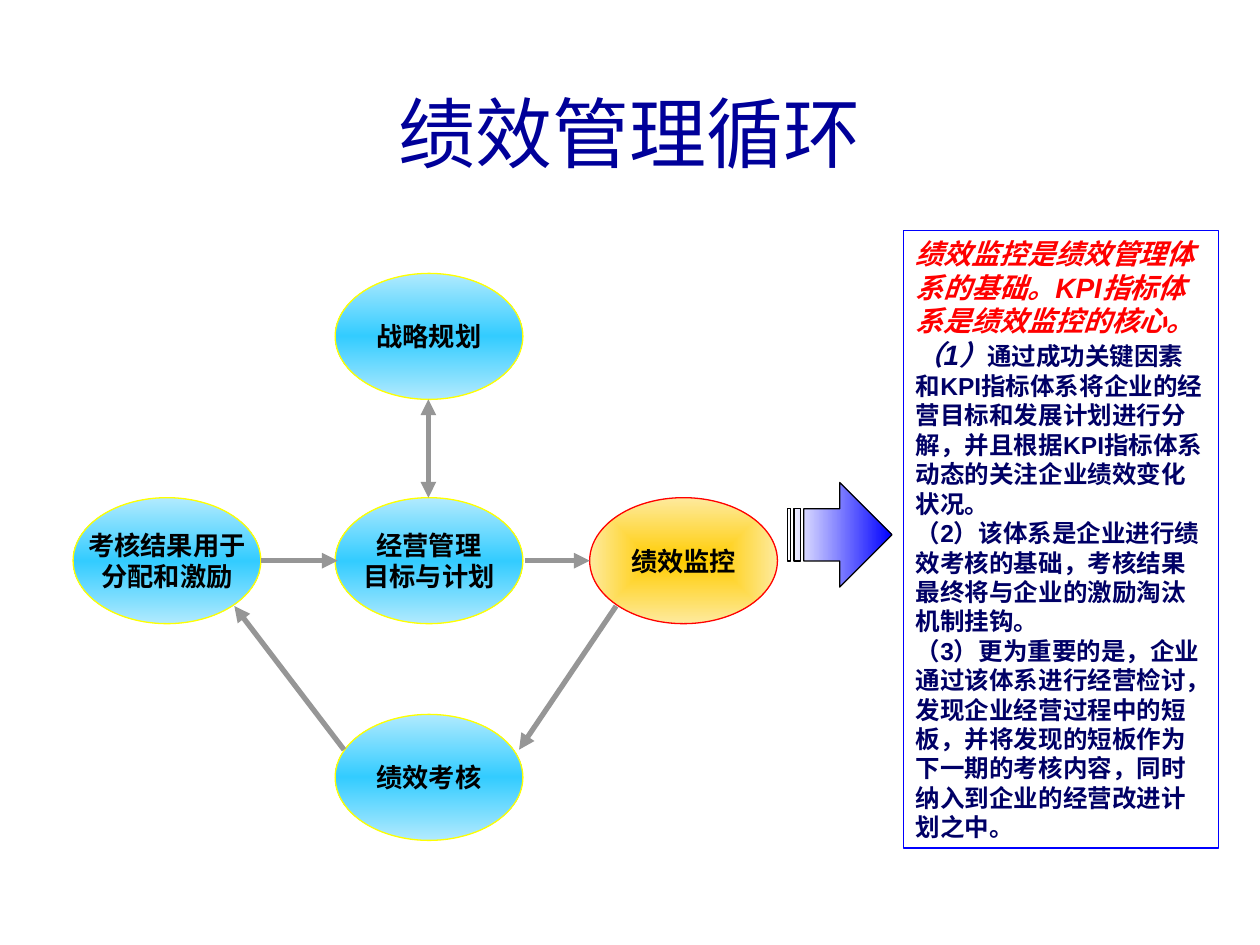
from pptx import Presentation
from pptx.dml.color import RGBColor as Rgb
from pptx.enum.shapes import MSO_CONNECTOR as Link, MSO_SHAPE as Kind
from pptx.enum.text import MSO_ANCHOR as Anchor, MSO_AUTO_SIZE as Auto, PP_ALIGN as Align
from pptx.oxml import parse_xml
from pptx.oxml.ns import nsdecls
from pptx.util import Inches, Pt

HUE = {
    "title": "000099", "black": "000000", "navy": "000066", "red": "FF0000",
    "blue": "0000FF", "white": "FFFFFF", "grey": "969696", "yellow": "FFFF00",
    "sky": "33CCFF", "pale": "B1EAFE", "gold": "FFCC00", "cream": "FEEA9E",
}
DOWN = '<a:lin ang="5400000" scaled="1"/>'
RIGHT = '<a:lin ang="0" scaled="1"/>'
CORE = '<a:path path="rect"><a:fillToRect l="50000" t="50000" r="50000" b="50000"/></a:path>'

# Gradients: stops as (percent, colour), then direction
COOL = ([(0, "pale"), (50, "sky"), (100, "pale")], DOWN)
WARM = ([(0, "gold"), (100, "cream")], CORE)
FADE = ([(0, "white"), (100, "blue")], RIGHT)

# Text formats
HEAD = {"size": Pt(44), "name": "Arial", "bold": False}
NODE = {"size": Pt(15), "name": "Times New Roman", "bold": True}
LEAD = {"size": Pt(16), "name": "Arial", "bold": True, "italic": True}
BODY = {"size": Pt(14), "name": "Arial", "bold": True, "italic": False}


class Deck:
    def __init__(self, wide, high):
        self.prs = Presentation()
        self.prs.slide_width, self.prs.slide_height = Inches(wide), Inches(high)
        self.slide = self.prs.slides.add_slide(self.prs.slide_layouts[5])

    def text(self, frame, paras, align):
        """Each paragraph is a list of (text, format, colour) runs."""
        for i, runs in enumerate(paras):
            para = frame.paragraphs[0] if i == 0 else frame.add_paragraph()
            para.alignment = align
            for words, form, hue in runs:
                run = para.add_run()
                run.text = words
                for key, value in form.items():
                    setattr(run.font, key, value)
                run.font.color.rgb = Rgb.from_string(HUE[hue])

    def title(self, words, x, y, w, h):
        box = self.slide.shapes.title
        spot = {"left": x, "top": y, "width": w, "height": h}
        for key, value in spot.items():
            setattr(box, key, Inches(value))
        box.text_frame.vertical_anchor = Anchor.MIDDLE
        self.text(box.text_frame, [[(words, HEAD, "title")]], Align.CENTER)

    def shape(self, kind, x, y, w, h, edge, grad=None):
        item = self.slide.shapes.add_shape(kind, *map(Inches, (x, y, w, h)))
        item.shadow.inherit = False
        if grad:
            stops, way = grad
            marks = "".join(
                f'<a:gs pos="{pos * 1000}"><a:srgbClr val="{HUE[hue]}"/></a:gs>'
                for pos, hue in stops)
            item._element.spPr.insert(2, parse_xml(
                f'<a:gradFill {nsdecls("a")} rotWithShape="1">'
                f'<a:gsLst>{marks}</a:gsLst>{way}</a:gradFill>'))
        else:
            item.fill.background()
        item.line.color.rgb = Rgb.from_string(HUE[edge])
        item.line.width = Pt(0.75)
        return item

    def node(self, x, y, lines, edge="yellow", grad=COOL):
        frame = self.shape(Kind.OVAL, x, y, 1.49, 1, edge, grad).text_frame
        frame.word_wrap = False
        frame.vertical_anchor = Anchor.MIDDLE
        self.text(frame, [[(line, NODE, "black")] for line in lines], Align.CENTER)

    def arrow(self, x1, y1, x2, y2, ends=("tail",)):
        item = self.slide.shapes.add_connector(
            Link.STRAIGHT, *map(Inches, (x1, y1, x2, y2)))
        item.line.color.rgb = Rgb.from_string(HUE["grey"])
        item.line.width = Pt(3)
        edge = item.line._ln
        for end in ends:
            edge.append(parse_xml(f'<a:{end}End {nsdecls("a")} type="triangle"/>'))
        item._element.spPr.append(parse_xml(f'<a:effectLst {nsdecls("a")}/>'))

    def panel(self, x, y, w, h, paras):
        frame = self.shape(Kind.RECTANGLE, x, y, w, h, "blue").text_frame
        frame.word_wrap = True
        frame.vertical_anchor = Anchor.TOP
        frame.auto_size = Auto.SHAPE_TO_FIT_TEXT
        self.text(frame, paras, Align.LEFT)


def main():
    deck = Deck(10, 7.5)
    deck.title("绩效管理循环", 0.33, 0.42, 9.34, 1.25)

    # Cycle nodes
    mid, row = 2.66, 3.95
    deck.node(mid, 2.17, ["战略规划"])
    deck.node(mid, 5.67, ["绩效考核"])
    deck.node(mid, row, ["经营管理", "目标与计划"])
    deck.node(4.68, row, ["绩效监控"], "red", WARM)
    deck.node(0.58, row, ["考核结果用于", "分配和激励"])

    # Links between nodes
    deck.arrow(3.4, 3.17, 3.4, row, ("head", "tail"))
    for ends in [(2.07, 4.45, 2.68, 4.45), (4.17, 4.45, 4.68, 4.45),
                 (2.73, 5.95, 1.86, 4.81), (4.89, 4.81, 4.12, 5.95)]:
        deck.arrow(*ends)

    # Explanation of the monitoring step
    deck.panel(7.17, 1.83, 2.5, 4.9, [
        [("绩效监控是绩效管理体系的基础。KPI指标体系是绩效监控的核心。", LEAD, "red")],
        [("（1）", LEAD, "navy"),
         ("通过成功关键因素和KPI指标体系将企业的经营目标和发展计划进行分解，"
          "并且根据KPI指标体系动态的关注企业绩效变化状况。", BODY, "navy")],
        [("（2）该体系是企业进行绩效考核的基础，"
          "考核结果最终将与企业的激励淘汰机制挂钩。", BODY, "navy")],
        [("（3）更为重要的是，企业通过该体系进行经营检讨，发现企业经营过程中的短板，"
          "并将发现的短板作为下一期的考核内容，同时纳入到企业的经营改进计划之中。",
          BODY, "navy")],
    ])
    deck.shape(Kind.STRIPED_RIGHT_ARROW, 6.25, 3.83, 0.83, 0.83, "black", FADE)

    deck.prs.save("out.pptx")


if __name__ == "__main__":
    main()
